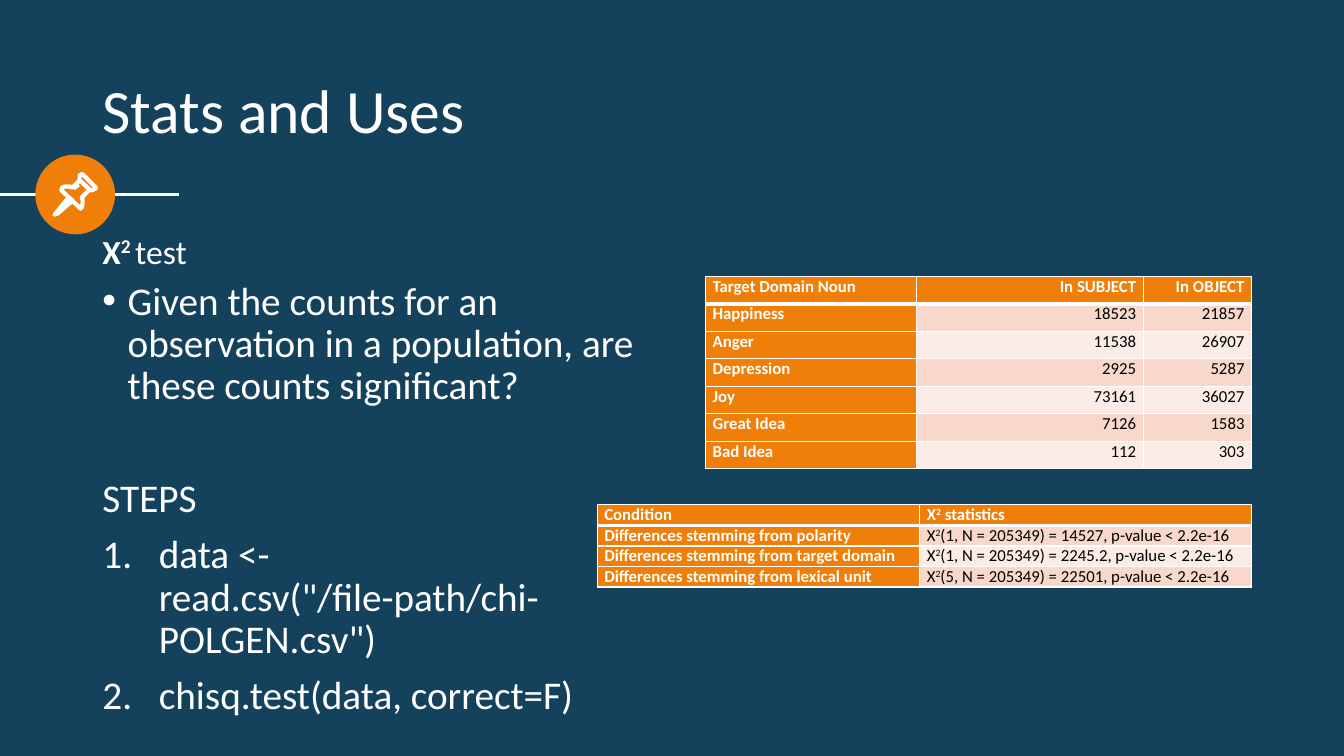
"""Build the chi-squared slide with its pin ornament and two result tables."""
from lxml import etree
from pptx import Presentation
from pptx import util as u
from pptx.dml.color import RGBColor
from pptx.enum import shapes, text
from pptx.oxml.ns import qn

COLS, ROWS = 160, 90
CELL = 76200
COLORS = {"back": "14425D", "accent": "F07F09", "light": "FFFFFF",
          "dark": "000000", "band": "F9D8CC", "pale": "FCECE7"}
BODY_LEFT, BODY_WIDTH, BODY_TOP = 11, 67.7, 32.9
SUP = {"baseline": "30000"}

PIN = [
    ([(8.16, 23.52), (6.72, 25.32), (6.48, 25.56), (6.84, 25.44),
      (8.64, 23.88)], True),
    ([(9.48, 21.48), (10.68, 22.56), (10.92, 22.68), (11.16, 22.56),
      (11.4, 22.44), (11.4, 22.32), (9.84, 20.76), (9.72, 20.76),
      (9.48, 20.88), (9.48, 21.12)], True),
    ([(9.48, 21.48), (8.64, 22.32), (8.28, 22.2), (7.8, 22.2),
      (7.44, 22.32), (7.32, 22.56), (7.32, 22.68), (9.48, 24.72),
      (9.6, 24.84), (9.72, 24.72), (9.84, 24.24), (9.84, 23.76),
      (9.72, 23.52), (10.68, 22.56)], False),
    ([(8.76, 22.44), (9.36, 21.96)], False),
]
COUNTS = [
    ("Target Domain Noun", "In SUBJECT", "In OBJECT"),
    ("Happiness", "18523", "21857"),
    ("Anger", "11538", "26907"),
    ("Depression", "2925", "5287"),
    ("Joy", "73161", "36027"),
    ("Great Idea", "7126", "1583"),
    ("Bad Idea", "112", "303"),
]
RESULTS = [
    ("Condition", "X^2^ statistics"),
    ("Differences stemming from polarity",
     "X^2^(1, N = 205349) = 14527, p-value < 2.2e-16"),
    ("Differences stemming from target domain",
     "X^2^(1, N = 205349) = 2245.2, p-value < 2.2e-16"),
    ("Differences stemming from lexical unit",
     "X^2^(5, N = 205349) = 22501, p-value < 2.2e-16"),
]
STEPS = [
    ("Given the counts for an observation in a population, "
     "are these counts significant?", 0.25, ("buChar", {"char": "•"}), 10),
    ("STEPS", 0, ("buNone", {}), 50),
    ('data <- read.csv("/file-path/chi-POLGEN.csv")', 0.56,
     ("buAutoNum", {"type": "arabicPeriod"}), 10),
    ("chisq.test(data, correct=F)", 0.56,
     ("buAutoNum", {"type": "arabicPeriod"}), 10),
]


def g(n):
    """Convert grid cells to a length."""
    return u.Emu(round(n * CELL))


def rgb(name):
    """Look up a named colour."""
    return RGBColor.from_string(COLORS[name])


def style(obj, **fmt):
    """Set each given attribute on an object."""
    for key, value in fmt.items():
        setattr(obj, key, value)


def write(p, content, size, color="light", bold=False):
    """Add runs to a paragraph, raising the parts between carets."""
    for i, part in enumerate(content.split("^")):
        r = p.add_run()
        r.text = part
        style(r.font, name="Calibri", size=u.Pt(size), bold=bold)
        r.font.color.rgb = rgb(color)
        if i % 2:
            r._r.get_or_add_rPr().set("baseline", SUP["baseline"])


def place(sp, left, top, width, height, anchor):
    """Move a placeholder on the grid and return its text frame."""
    style(sp, left=g(left), top=g(top), width=g(width), height=g(height))
    tf = sp.text_frame
    style(tf, word_wrap=True, auto_size=text.MSO_AUTO_SIZE.NONE,
          vertical_anchor=anchor)
    return tf


def layout_paragraph(p, indent=0, bullet=("buNone", {}), before=10):
    """Give a paragraph its spacing, hanging indent and bullet."""
    style(p, line_spacing=0.9, space_before=u.Pt(before),
          alignment=text.PP_ALIGN.LEFT)
    pPr = p._p.get_or_add_pPr()
    pPr.set("marL", str(u.Inches(indent)))
    pPr.set("indent", str(-u.Inches(indent)))
    tag, attrs = bullet
    etree.SubElement(pPr, qn(f"a:{tag}"), attrs)


def add_ornament(s):
    """Draw the rule, the disc and the outlined pin."""
    rule = s.shapes.add_connector(shapes.MSO_CONNECTOR.STRAIGHT,
                                  0, g(23.2), g(21.3), g(23.2))
    rule.line.color.rgb = rgb("light")
    rule.line.width = u.Pt(2.25)
    etree.SubElement(rule._element.spPr, qn("a:effectLst"))
    disc = s.shapes.add_shape(shapes.MSO_SHAPE.OVAL,
                              g(4.2), g(18.4), g(9.5), g(9.5))
    disc.shadow.inherit = False
    disc.fill.solid()
    disc.fill.fore_color.rgb = rgb("accent")
    disc.line.fill.background()
    for points, closed in PIN:
        start, *rest = [(g(x), g(y)) for x, y in points]
        fb = s.shapes.build_freeform(*start)
        fb.add_line_segments(rest, close=closed)
        sp = fb.convert_to_shape()
        sp.shadow.inherit = False
        sp.fill.background()
        sp.line.color.rgb = rgb("light")
        sp.line.width = u.Pt(3)


def add_borders(cell, header):
    """Outline a cell in white, heavier under the header."""
    tcPr = cell._tc.get_or_add_tcPr()
    for side in "LRTB":
        width = 3 if header and side == "B" else 1
        ln = etree.SubElement(tcPr, qn(f"a:ln{side}"), w=str(u.Pt(width)))
        fill = etree.SubElement(ln, qn("a:solidFill"))
        etree.SubElement(fill, qn("a:srgbClr"), val=COLORS["light"])


def add_grid(s, rows, left, top, widths, height, align):
    """Add a table with an accent header row and first column."""
    frame = s.shapes.add_table(len(rows), len(widths), g(left), g(top),
                               g(sum(widths)), g(height * len(rows)))
    table = frame.table
    for column, width in zip(table.columns, widths):
        column.width = g(width)
    for i, row in enumerate(rows):
        table.rows[i].height = g(height)
        for j, content in enumerate(row):
            cell = table.cell(i, j)
            style(cell, margin_left=u.Inches(0.07),
                  margin_right=u.Inches(0.07), margin_top=0, margin_bottom=0)
            head = i == 0 or j == 0
            add_borders(cell, i == 0)
            cell.fill.solid()
            cell.fill.fore_color.rgb = rgb(
                "accent" if head else "band" if i % 2 else "pale")
            p = cell.text_frame.paragraphs[0]
            p.alignment = align if j else text.PP_ALIGN.LEFT
            write(p, content, 12, "light" if head else "dark", head)


def add_texts(s):
    """Fill the title, heading and list placeholders."""
    title, heading, body, *spare = s.placeholders
    for sp in spare:
        sp._element.getparent().remove(sp._element)
    tf = place(title, BODY_LEFT, 4.8, 138, 17.4, text.MSO_ANCHOR.MIDDLE)
    layout_paragraph(tf.paragraphs[0], before=0)
    write(tf.paragraphs[0], "Stats and Uses", 44)
    tf = place(heading, BODY_LEFT, 22.1, BODY_WIDTH, 10.8,
               text.MSO_ANCHOR.BOTTOM)
    layout_paragraph(tf.paragraphs[0])
    write(tf.paragraphs[0], "X^2 ", 24, bold=True)
    write(tf.paragraphs[0], "test", 24)
    tf = place(body, BODY_LEFT, BODY_TOP, BODY_WIDTH, 48.4,
               text.MSO_ANCHOR.TOP)
    for i, (content, indent, bullet, before) in enumerate(STEPS):
        p = tf.add_paragraph() if i else tf.paragraphs[0]
        layout_paragraph(p, indent, bullet, before)
        write(p, content, 28)


def main():
    """Assemble and save the slide."""
    prs = Presentation()
    style(prs, slide_width=g(COLS), slide_height=g(ROWS))
    s = prs.slides.add_slide(prs.slide_layouts.get_by_name("Comparison"))
    s.background.fill.solid()
    s.background.fill.fore_color.rgb = rgb("back")
    add_ornament(s)
    add_texts(s)
    add_grid(s, COUNTS, 84, BODY_TOP, (25.1, 27, 12.9), 3.27,
             text.PP_ALIGN.RIGHT)
    add_grid(s, RESULTS, 71.1, 60.1, (38.4, 39.5), 2.45, text.PP_ALIGN.LEFT)
    prs.save("out.pptx")


if __name__ == "__main__":
    main()
